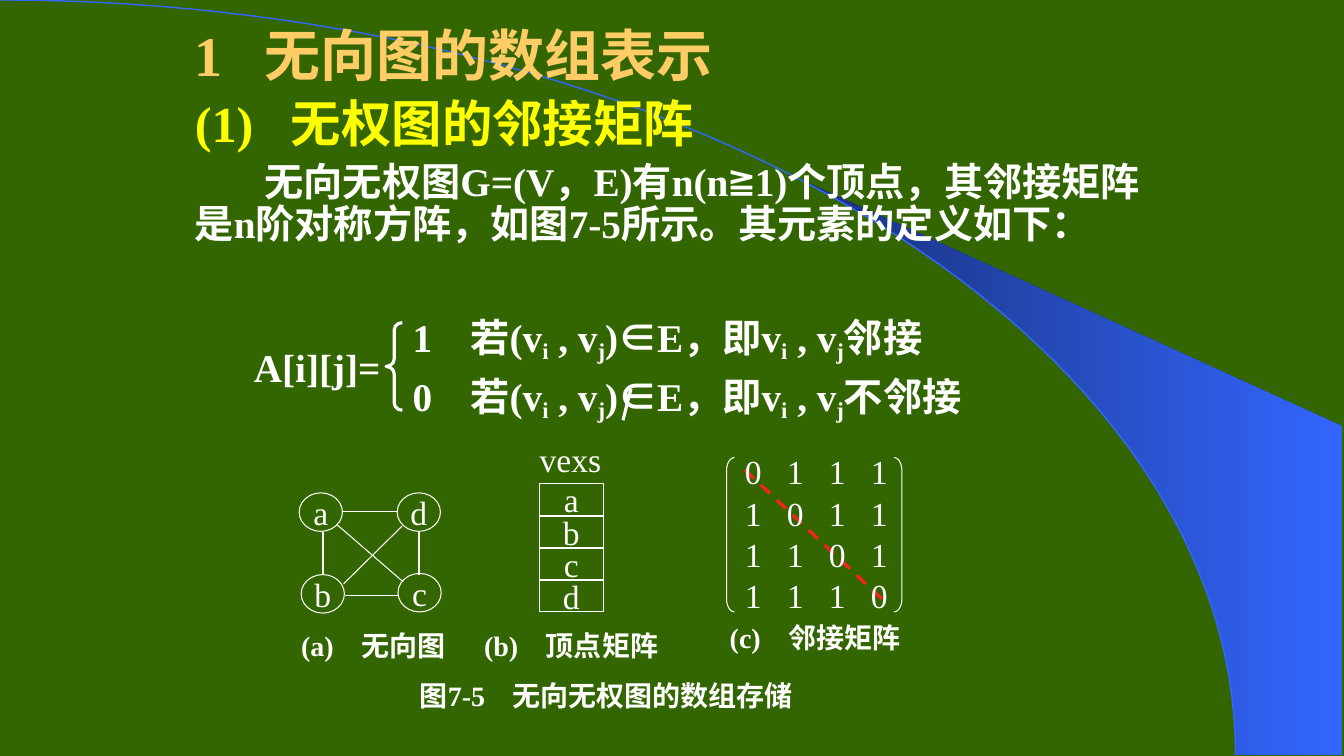
import math
from collections import namedtuple

from lxml import etree
from pptx import Presentation
from pptx import util as u
from pptx.dml import color
from pptx.enum import dml, shapes, text
from pptx.oxml import ns

GREEN = color.RGBColor(0x33, 0x66, 0x00)
NAVY = color.RGBColor(0x18, 0x2F, 0x76)
BLUE = color.RGBColor(0x33, 0x66, 0xFF)
ORANGE = color.RGBColor(0xFF, 0xCC, 0x66)
YELLOW = color.RGBColor(0xFF, 0xFF, 0x00)
WHITE = color.RGBColor(0xFF, 0xFF, 0xFF)
RED = color.RGBColor(0xFF, 0x1F, 0x1F)
LATIN, CHINESE = "Times New Roman", "Noto Sans CJK SC"
Box = namedtuple("Box", "left top width height")


def write(paragraph, words, size=24, ink=WHITE, bold=False, align=text.PP_ALIGN.LEFT,
          tab=None, indent=0, spacing=None, before=None):
    """Fill a paragraph; | parts runs, a leading _ lowers one, tab is the gap of the stops in cm."""
    paragraph.alignment = align
    if spacing:
        paragraph.line_spacing = spacing
    if before:
        paragraph.space_before = u.Pt(before)
    properties = paragraph._p.get_or_add_pPr()
    if indent:
        properties.set("indent", str(u.Cm(indent)))
    if tab:
        stops = etree.SubElement(properties, ns.qn("a:tabLst"))
        for n in range(1, words.count("\t") + 1):
            etree.SubElement(stops, ns.qn("a:tab"), pos=str(u.Cm(n * tab)), algn="l")
    for piece in words.split("|"):
        run = paragraph.add_run()
        run.text = piece.lstrip("_")
        run.font.size = u.Pt(size)
        run.font.bold = bold
        run.font.color.rgb = ink
        run.font.name = CHINESE if piece == "∈" else LATIN
        marks = run.font._element
        etree.SubElement(marks, ns.qn("a:ea"), typeface=CHINESE)
        if piece.startswith("_"):
            marks.set("baseline", "-18000")


def clear_margins(frame, wrap):
    """Give a text frame no insets and return its first paragraph."""
    frame.margin_left = frame.margin_right = frame.margin_top = frame.margin_bottom = 0
    frame.word_wrap = wrap
    return frame.paragraphs[0]


def add_label(slide, words, left, middle, width, **style):
    """Add one line of text centred vertically on middle."""
    height = 1.4
    label = slide.shapes.add_textbox(u.Cm(left), u.Cm(middle - height / 2), u.Cm(width), u.Cm(height))
    label.text_frame.vertical_anchor = text.MSO_ANCHOR.MIDDLE
    write(clear_margins(label.text_frame, True), words, **style)


def add_outline(slide, kind, box, weight=0.75, bend=None, words=None):
    """Add an unfilled white shape, with centred words if there are any."""
    outline = slide.shapes.add_shape(kind, *map(u.Cm, box))
    outline.shadow.inherit = False
    outline.fill.background()
    outline.line.color.rgb = WHITE
    outline.line.width = u.Pt(weight)
    if bend:
        outline.adjustments[0] = bend
    if words:
        outline.text_frame.vertical_anchor = text.MSO_ANCHOR.MIDDLE
        write(clear_margins(outline.text_frame, False), words, align=text.PP_ALIGN.CENTER)


def add_line(slide, start, end, weight=0.75, ink=WHITE, dash=None):
    """Add a straight line between two points in cm."""
    line = slide.shapes.add_connector(shapes.MSO_CONNECTOR.STRAIGHT, *map(u.Cm, (*start, *end)))
    line.line.color.rgb = ink
    line.line.width = u.Pt(weight)
    if dash:
        line.line.dash_style = dash
    etree.SubElement(line._element.spPr, ns.qn("a:effectLst"))


def add_path(slide, points, close):
    """Add a freeform through points in cm."""
    (x, y), *rest = [(u.Cm(a), u.Cm(b)) for a, b in points]
    builder = slide.shapes.build_freeform(x, y)
    builder.add_line_segments(rest, close=close)
    path_shape = builder.convert_to_shape()
    path_shape.shadow.inherit = False
    return path_shape


def draw_backdrop(slide, box):
    """Draw the blue band and the quarter ellipse that bounds it."""
    slide.background.fill.solid()
    slide.background.fill.fore_color.rgb = GREEN
    right, bottom = 33.81, box.top + box.height

    def curve(first):
        angles = [math.radians(first + (90 - first) * n / 60) for n in range(61)]
        return [(box.left + box.width * math.sin(a), bottom - box.height * math.cos(a)) for a in angles]

    band = add_path(slide, curve(39.9) + [(right, bottom), (right, 10.74)], True)
    band.line.fill.background()
    band.fill.gradient()
    band.fill.gradient_angle = 0
    for stop, ink in zip(band.fill.gradient_stops, (NAVY, BLUE)):
        stop.color.rgb = ink
    band.fill.gradient_stops[0].position, band.fill.gradient_stops[1].position = 0, 1
    arc = add_path(slide, curve(0), False)
    arc.fill.background()
    arc.line.color.rgb = BLUE
    arc.line.width = u.Pt(1)


def draw_heading(slide, box):
    """Write the title, the subtitle and the opening paragraph."""
    frame = slide.shapes.add_textbox(*map(u.Cm, box)).text_frame
    title = clear_margins(frame, True)
    write(title, "1\t无向图的数组表示", size=40, ink=ORANGE, bold=True, tab=1.76, spacing=0.9)
    write(frame.add_paragraph(), "(1)\t无权图的邻接矩阵", size=36, ink=YELLOW, bold=True,
          tab=2.42, spacing=0.9, before=8)
    write(frame.add_paragraph(),
          "无向无权图G=(V，E)有n(n≧1)个顶点，其邻接矩阵是n阶对称方阵，如图7-5所示。其元素的定义如下：",
          size=28, bold=True, indent=1.76, spacing=0.9, before=6)


def draw_definition(slide, box):
    """Write the two cases of A[i][j] behind a brace."""
    middle = box.top + box.height / 2
    add_label(slide, "A[i][j]=", box.left, middle, 3.4, size=28, bold=True)
    add_outline(slide, shapes.MSO_SHAPE.LEFT_BRACE, Box(box.left + 3.33, box.top, 0.41, box.height), 2.25, 0.457)
    for n, (value, ending) in enumerate((("1", "邻接"), ("0", "不邻接"))):
        add_label(slide, f"{value}\t若(v|_i| , v|_j|)|∈|E，即v|_i| , v|_j|{ending}",
                  box.left + 4, middle - 0.69 + n * 1.47, box.width - 4, size=28, bold=True, tab=1.46)
    add_line(slide, (box.left + 9.5, box.top + 1.67), (box.left + 9.3, box.top + 2.46), 2.25)


def draw_graph(slide, box):
    """Draw the four vertices and six edges of the graph."""
    nodes = {"a": (0, 0), "b": (0.05, 2.06), "c": (2.49, 2.03), "d": (2.47, 0)}
    for name, (x, y) in nodes.items():
        add_outline(slide, shapes.MSO_SHAPE.OVAL, Box(box.left + x, box.top + y, 1.09, 0.97), words=name)
    edges = [(0.59, 0.99, 0.59, 2.06, 1.5), (3.03, 0.99, 3.03, 2.06, 1.5),
             (0.94, 0.79, 2.62, 2.24, 0.75), (1.07, 0.46, 2.47, 0.46, 0.75),
             (1.15, 2.59, 2.52, 2.59, 0.75), (1.12, 2.29, 2.59, 0.84, 0.75)]
    for x1, y1, x2, y2, weight in edges:
        add_line(slide, (box.left + x1, box.top + y1), (box.left + x2, box.top + y2), weight)
    add_label(slide, "(a)\t无向图", box.left + 0.05, box.top + 3.85, 4.4, size=20, bold=True, tab=1.52)


def draw_vertices(slide, box):
    """Draw the vertex array as a stack of cells."""
    add_label(slide, "vexs", box.left, box.top - 0.62, 2)
    pitch = box.height / 4
    for n, name in enumerate("abcd"):
        add_outline(slide, shapes.MSO_SHAPE.RECTANGLE,
                    Box(box.left, box.top + n * pitch, box.width, 0.79), words=name)
    add_label(slide, "(b)\t顶点矩阵", box.left - 1.4, box.top + 4.08, 5.2, size=20, bold=True, tab=1.56)


def draw_matrix(slide, box):
    """Draw the adjacency matrix between brackets with its diagonal."""
    add_line(slide, (box.left + 0.46, box.top + 0.31), (box.left + 4.07, box.top + 3.71),
             2.25, RED, dml.MSO_LINE.DASH)
    for row in range(4):
        values = "\t".join("0" if row == column else "1" for column in range(4))
        add_label(slide, values, box.left + 0.46, box.top + 0.35 + row * 1.04, 4, tab=1.06)
    for kind, x in ((shapes.MSO_SHAPE.LEFT_BRACKET, 0), (shapes.MSO_SHAPE.RIGHT_BRACKET, box.width - 0.2)):
        add_outline(slide, kind, Box(box.left + x, box.top, 0.2, box.height), bend=1.637)
    add_label(slide, "(c)\t邻接矩阵", box.left + 0.08, box.top + 4.54, 5.2, size=20, bold=True, tab=1.49)


def main():
    """Build the slide and save it."""
    deck = Presentation()
    deck.slide_width, deck.slide_height = u.Cm(33.87), u.Cm(19.05)
    slide = deck.slides.add_slide(deck.slide_layouts[6])
    draw_backdrop(slide, Box(0, 0, 31.14, 19.02))
    draw_heading(slide, Box(4.91, 0.7, 23.97, 6.8))
    draw_definition(slide, Box(6.4, 8.13, 19.5, 2.21))
    draw_graph(slide, Box(7.54, 12.42, 3.58, 3.03))
    draw_vertices(slide, Box(13.6, 12.19, 1.6, 3.25))
    draw_matrix(slide, Box(18.31, 11.53, 4.42, 3.89))
    add_label(slide, "图7-5\t无向无权图的数组存储", 10.58, 17.51, 10.5, size=20, bold=True, tab=2.33)
    deck.save("out.pptx")


if __name__ == "__main__":
    main()
